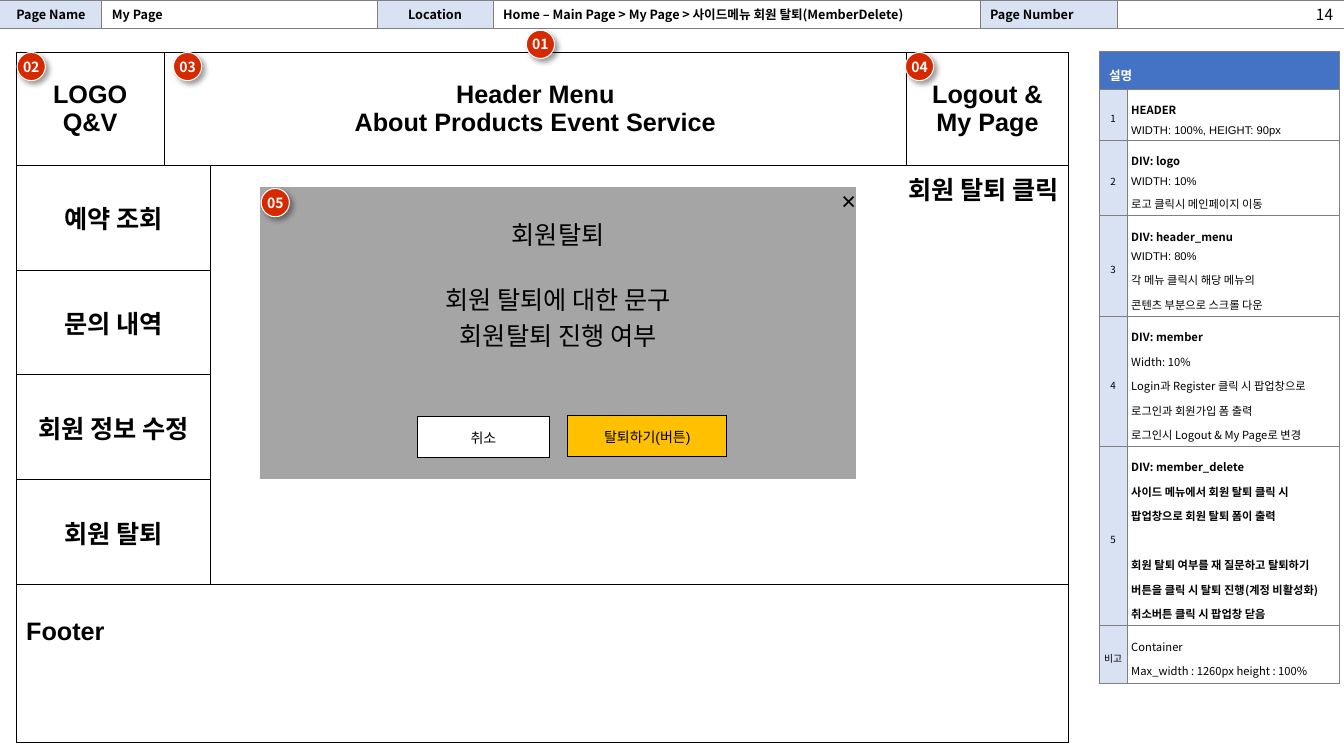
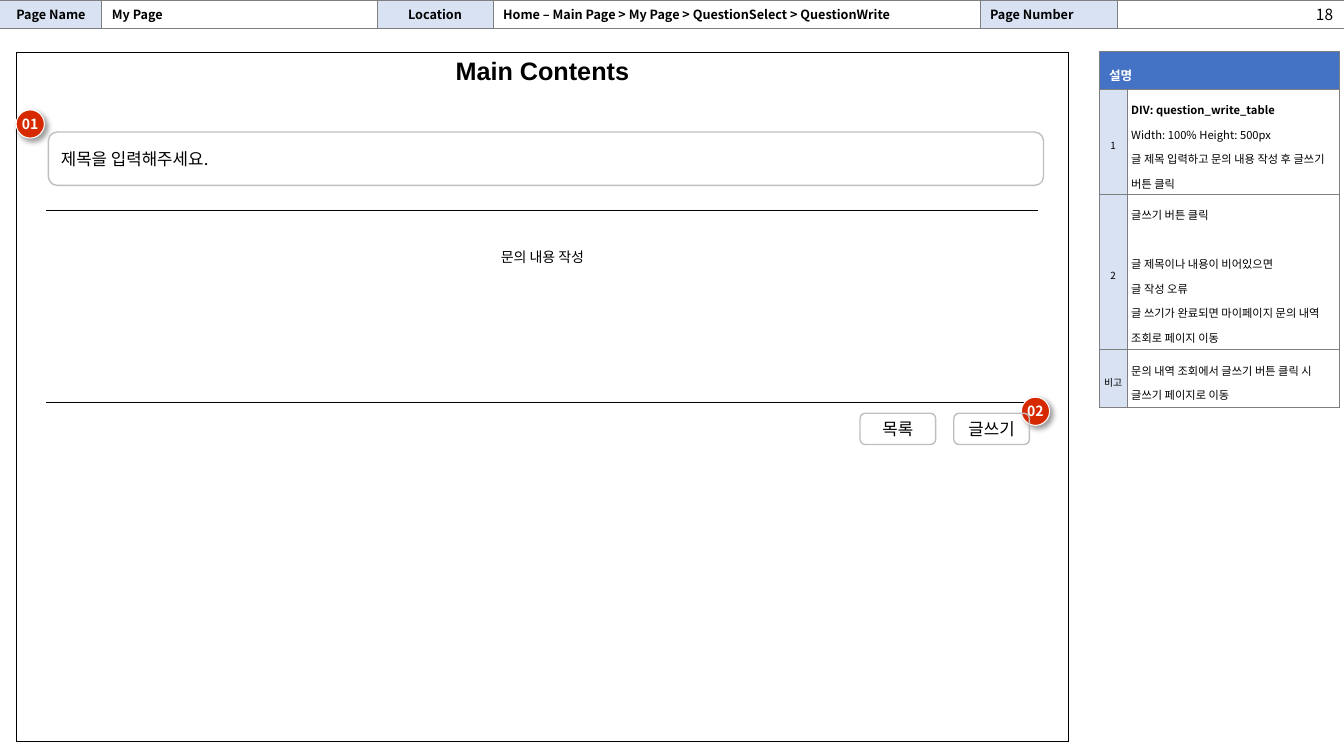
from dataclasses import dataclass, replace
from typing import Optional

import pptx
import pptx.dml.color
import pptx.enum.shapes
import pptx.enum.text
import pptx.oxml.ns
import pptx.util
from lxml import etree

Inches = pptx.util.Inches
Pt = pptx.util.Pt
qn = pptx.oxml.ns.qn
Align = pptx.enum.text.PP_ALIGN
Anchor = pptx.enum.text.MSO_ANCHOR
Kind = pptx.enum.shapes.MSO_SHAPE


# Theme: colours, fonts and type sizes
@dataclass(frozen=True)
class Theme:
    black: str = "000000"
    white: str = "FFFFFF"
    gray: str = "7F7F7F"
    pale: str = "D8E2F3"
    blue: str = "4472C4"
    red: str = "D62900"
    panel: str = "A5A5A5"
    gold: str = "FFC000"
    rim: str = "BFBFBF"
    sans: str = "Arial"
    cjk: str = "Noto Sans CJK KR"
    tiny: int = 7
    note: int = 8
    bar: int = 9
    label: int = 10
    page: int = 11
    field: int = 12
    head: int = 18
    rule: float = 0.75


T = Theme()


# Building blocks
@dataclass(frozen=True)
class Look:
    size: int
    face: str = T.cjk
    bold: bool = False
    color: str = T.black
    align: Align = Align.LEFT
    lead: Optional[float] = None


@dataclass(frozen=True)
class Line:
    text: str
    look: Look
    before: float = 0


@dataclass(frozen=True)
class Cell:
    lines: tuple = ()
    fill: str = T.white
    anchor: Anchor = Anchor.MIDDLE
    inset: tuple = (0.1, 0.05, 0.1, 0.05)
    span: tuple = (1, 1)
    sides: str = "LRTB"


BAR = Look(T.bar, bold=True)
HEAD = Look(T.head, T.sans, True, align=Align.CENTER)
MODAL = replace(HEAD, bold=False)
LABEL = Look(T.label, T.sans, align=Align.CENTER)
BADGE = Look(T.label, bold=True, color=T.white, align=Align.CENTER)
FIELD = Look(T.field)
TAG = Look(T.tiny, align=Align.CENTER, lead=1.5)
NOTE = Look(T.note, lead=1.5)
STRONG = replace(NOTE, bold=True)
LATIN = replace(NOTE, face=T.sans)
GAP = 17.5  # one note line, in points


def rgb(code: str):
    return pptx.dml.color.RGBColor.from_string(code)


def write(frame, lines: tuple) -> None:
    for i, line in enumerate(lines):
        para = frame.paragraphs[0] if i == 0 else frame.add_paragraph()
        look = line.look
        para.text = line.text
        para.alignment = look.align
        if look.lead:
            para.line_spacing = look.lead
        if line.before:
            para.space_before = Pt(line.before)
        for run in para.runs:
            font = run.font
            font.size, font.bold, font.name = Pt(look.size), look.bold, look.face
            font.color.rgb = rgb(look.color)
            etree.SubElement(font._element, qn("a:ea"), typeface=T.cjk)


def pad(box, inset: tuple) -> None:
    (box.margin_left, box.margin_top,
     box.margin_right, box.margin_bottom) = map(Inches, inset)


def border(cell, sides: str, color: str) -> None:
    props = cell._tc.get_or_add_tcPr()
    for side in "LRTB":
        shown = side in sides
        edge = etree.SubElement(props, qn("a:ln" + side),
                                w=str(Pt(T.rule) if shown else 0))
        if shown:
            paint = etree.SubElement(edge, qn("a:solidFill"))
            etree.SubElement(paint, qn("a:srgbClr"), val=color)
        else:
            etree.SubElement(edge, qn("a:noFill"))


def grid(slide, left: float, top: float, cols: list, rows: list,
         cells: dict, color: str = T.black) -> None:
    """Draw a table; cells maps (row, column) to a Cell."""
    frame = slide.shapes.add_table(
        len(rows), len(cols), Inches(left), Inches(top),
        Inches(sum(cols)), Inches(sum(rows)))
    table = frame.table
    table.first_row = table.horz_banding = False
    style = table._tbl.tblPr.find(qn("a:tableStyleId"))
    style.text = "{2D5ABB26-0587-4C30-8999-92F81FD0307C}"
    for col, width in zip(table.columns, cols):
        col.width = Inches(width)
    for row, height in zip(table.rows, rows):
        row.height = Inches(height)
    for r in range(len(rows)):
        for c in range(len(cols)):
            item, cell = cells.get((r, c), Cell()), table.cell(r, c)
            border(cell, item.sides, color)
            cell.fill.solid()
            cell.fill.fore_color.rgb = rgb(item.fill)
            cell.vertical_anchor = item.anchor
            pad(cell, item.inset)
            if item.lines:
                write(cell.text_frame, item.lines)
            else:
                etree.SubElement(cell.text_frame.paragraphs[0]._p,
                                 qn("a:endParaRPr"), sz=str(T.bar * 100))
    for (r, c), item in cells.items():
        if item.span != (1, 1):
            high, wide = item.span
            table.cell(r, c).merge(table.cell(r + high - 1, c + wide - 1))


def shape(slide, kind, at: tuple, line: Line, fill: Optional[str],
          edge: str, width: float, inset: tuple):
    form = slide.shapes.add_shape(kind, *map(Inches, at))
    form.shadow.inherit = False
    if fill:
        form.fill.solid()
        form.fill.fore_color.rgb = rgb(fill)
    else:
        form.fill.background()
    form.line.color.rgb = rgb(edge)
    form.line.width = Pt(width)
    frame = form.text_frame
    frame.word_wrap = True
    frame.vertical_anchor = Anchor.MIDDLE
    pad(frame, inset)
    write(frame, (line,))
    return form


def badge(slide, text: str, left: float, top: float) -> None:
    dot = shape(slide, Kind.OVAL, (left, top, 0.28, 0.28), Line(text, BADGE),
                T.red, T.white, T.rule, (0, 0, 0, 0))
    glow = etree.SubElement(
        dot._element.spPr.find(qn("a:effectLst")), qn("a:outerShdw"),
        blurRad=str(Pt(4)), dist=str(Pt(3)), dir=str(45 * 60000),
        algn="tl", rotWithShape="0")
    tint = etree.SubElement(glow, qn("a:srgbClr"), val=T.black)
    etree.SubElement(tint, qn("a:alpha"), val="40000")


def field(slide, text: str, at: tuple, fill: Optional[str] = None,
          align: Align = Align.CENTER) -> None:
    shape(slide, Kind.ROUNDED_RECTANGLE, at,
          Line(text, replace(FIELD, align=align)), fill, T.rim, 1,
          (0.1, 0.05, 0.1, 0.05))


# Parts shared by the slides
def banner(slide, place: str, page: str) -> None:
    mid = replace(BAR, align=Align.CENTER)
    cells = {
        (0, 0): Cell((Line("Page Name", mid),), T.pale, sides="RTB"),
        (0, 1): Cell((Line("My Page", BAR),)),
        (0, 2): Cell((Line("Location", mid),), T.pale),
        (0, 3): Cell((Line(place, BAR),)),
        (0, 4): Cell((Line("Page Number", BAR),), T.pale),
        (0, 5): Cell(sides="LTB"),
    }
    grid(slide, 0, 0, [1.01, 2.73, 1.15, 4.83, 1.36, 2.25], [0.28],
         cells, T.gray)
    box = slide.shapes.add_textbox(*map(Inches, (11.07, 0, 2.25, 0.25)))
    box.text_frame.word_wrap = True
    write(box.text_frame, (Line(page, Look(T.page, align=Align.RIGHT)),))


def notes(slide, items: list, rows: list) -> None:
    title = Line("설명", replace(BAR, color=T.white, lead=1.5))
    cells = {(0, 0): Cell((title,), T.blue, span=(1, 2))}
    for r, lines in enumerate(items, 1):
        tag = str(r) if r < len(items) else "비고"
        cells[r, 0] = Cell((Line(tag, TAG),), T.pale, inset=(0, 0.05, 0, 0.05))
        cells[r, 1] = Cell(tuple(lines), inset=(0.04,) * 4)
    grid(slide, 10.9, 0.51, [0.28, 2.1], [0.38, *rows], cells, T.gray)


# Slide: member delete popup
def popup(slide) -> None:
    banner(slide, "Home – Main Page > My Page > 사이드메뉴 회원 탈퇴(MemberDelete)", "14")
    notes(slide, [
        [Line("HEADER", STRONG), Line("WIDTH: 100%, HEIGHT: 90px", LATIN)],
        [Line("DIV: logo", STRONG), Line("WIDTH: 10%", LATIN),
         Line("로고 클릭시 메인페이지 이동", LATIN)],
        [Line("DIV: header_menu", STRONG), Line("WIDTH: 80%", LATIN),
         Line("각 메뉴 클릭시 해당 메뉴의", LATIN),
         Line("콘텐츠 부분으로 스크롤 다운", LATIN)],
        [Line("DIV: member", STRONG), Line("Width: 10%", NOTE),
         Line("Login과 Register 클릭 시 팝업창으로", NOTE),
         Line("로그인과 회원가입 폼 출력", NOTE),
         Line("로그인시 Logout & My Page로 변경", NOTE)],
        [Line("DIV: member_delete", STRONG),
         Line("사이드 메뉴에서 회원 탈퇴 클릭 시", STRONG),
         Line("팝업창으로 회원 탈퇴 폼이 출력", STRONG),
         Line("회원 탈퇴 여부를 재 질문하고 탈퇴하기 버튼을 클릭 시 탈퇴 진행(계정 비활성화)",
              STRONG, GAP),
         Line("취소버튼 클릭 시 팝업창 닫음", STRONG)],
        [Line("Container", NOTE), Line("Max_width : 1260px height : 100%", NOTE)],
    ], [0.5, 0.75, 1.0, 1.29, 1.78, 0.57])

    # Page frame with side menu
    right, left = (replace(HEAD, align=a) for a in (Align.RIGHT, Align.LEFT))
    cells = {
        (0, 0): Cell((Line("LOGO", HEAD), Line("Q&V", HEAD))),
        (0, 1): Cell((Line("Header Menu", HEAD),
                      Line("About Products Event Service", HEAD)), span=(1, 2)),
        (0, 3): Cell((Line("Logout &", HEAD), Line("My Page", HEAD))),
        (1, 2): Cell((Line("회원 탈퇴 클릭", right),), anchor=Anchor.TOP, span=(4, 2)),
        (5, 0): Cell((Line("Footer", left),), anchor=Anchor.TOP,
                     inset=(0.1, 0.33, 0.1, 0.05), span=(1, 4)),
    }
    menu = ["예약 조회", "문의 내역", "회원 정보 수정", "회원 탈퇴"]
    for r, text in enumerate(menu, 1):
        cells[r, 0] = Cell((Line(text, HEAD),), span=(1, 2))
    grid(slide, 0.16, 0.52, [1.47, 0.46, 6.9, 1.61],
         [1.12, *[1.04] * len(menu), 1.57], cells)
    for text, x, y in [("02", 0.17, 0.52), ("03", 1.72, 0.52),
                       ("04", 8.98, 0.52), ("01", 5.22, 0.3)]:
        badge(slide, text, x, y)

    # Popup and its buttons
    grid(slide, 2.58, 1.86, [5.91], [2.89], {(0, 0): Cell((
        Line("×", replace(MODAL, align=Align.RIGHT)),
        Line("회원탈퇴", MODAL),
        Line("회원 탈퇴에 대한 문구", MODAL, 20),
        Line("회원탈퇴 진행 여부", MODAL),
    ), T.panel, Anchor.TOP, (0, 0, 0, 0), sides="")})
    for text, x, y, wide, fill in [("탈퇴하기(버튼)", 5.63, 4.12, 1.58, T.gold),
                                   ("취소", 4.14, 4.13, 1.31, T.white)]:
        grid(slide, x, y, [wide], [0.41],
             {(0, 0): Cell((Line(text, LABEL),), fill)})
    badge(slide, "05", 2.59, 1.87)


# Slide: question form
def form(slide) -> None:
    banner(slide, "Home – Main Page > My Page > QuestionSelect > QuestionWrite", "18")
    grid(slide, 0.16, 0.52, [10.44], [6.84],
         {(0, 0): Cell((Line("Main Contents", HEAD),), anchor=Anchor.TOP)})
    badge(slide, "01", 0.16, 1.09)
    grid(slide, 0.46, 1.51, [9.84], [0.58, 1.9], {
        (0, 0): Cell(sides="B"),
        (1, 0): Cell((Line("문의 내용 작성", LABEL),), anchor=Anchor.TOP,
                     inset=(0.1, 0.35, 0.1, 0.05), sides="TB"),
    })
    badge(slide, "02", 10.13, 3.94)
    field(slide, "제목을 입력해주세요.", (0.48, 1.31, 9.87, 0.53), T.white, Align.LEFT)
    for text, x in [("글쓰기", 9.46), ("목록", 8.53)]:
        field(slide, text, (x, 4.1, 0.75, 0.31))
    notes(slide, [
        [Line("DIV: question_write_table", STRONG),
         Line("Width: 100% Height: 500px", NOTE),
         Line("글 제목 입력하고 문의 내용 작성 후 글쓰기 버튼 클릭", NOTE)],
        [Line("글쓰기 버튼 클릭", NOTE),
         Line("글 제목이나 내용이 비어있으면", NOTE, GAP),
         Line("글 작성 오류", NOTE),
         Line("글 쓰기가 완료되면 마이페이지 문의 내역 조회로 페이지 이동", NOTE)],
        [Line("문의 내역 조회에서 글쓰기 버튼 클릭 시 글쓰기 페이지로 이동", NOTE)],
    ], [1.04, 1.54, 0.57])


def main() -> None:
    deck = pptx.Presentation()
    deck.slide_width, deck.slide_height = Inches(13.33), Inches(7.5)
    for draw in (popup, form):
        draw(deck.slides.add_slide(deck.slide_layouts[6]))
    deck.save("out.pptx")


if __name__ == "__main__":
    main()
